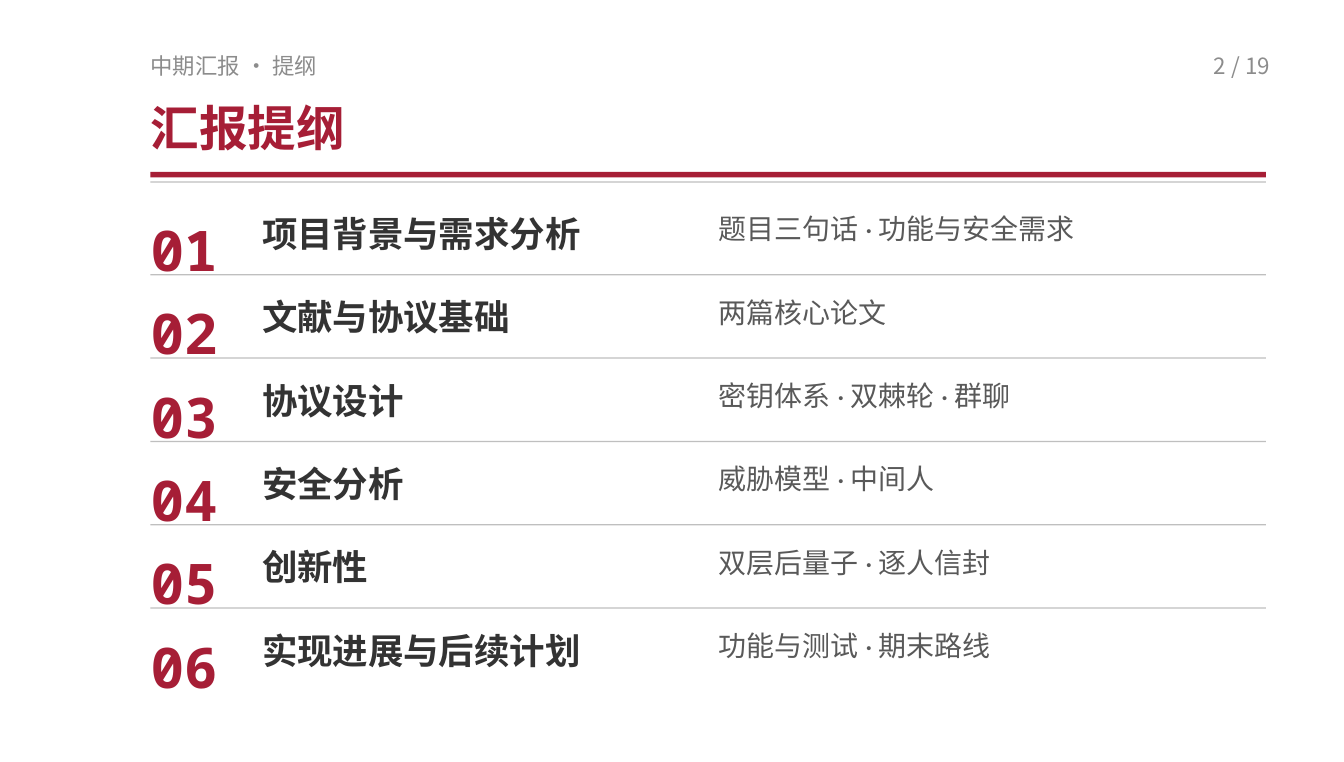
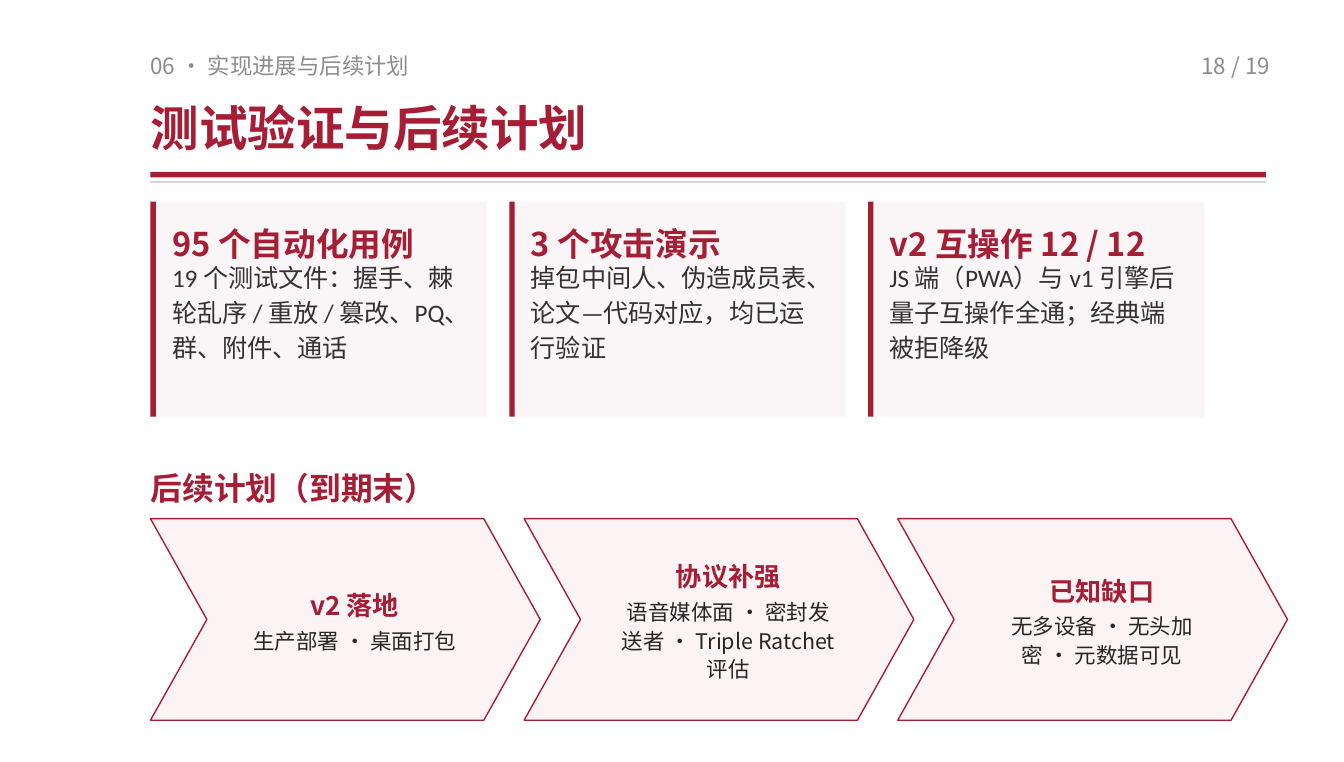
from lxml import etree
from pptx import Presentation
from pptx import util as u
from pptx.dml import color
from pptx.enum import shapes, text
from pptx.oxml import ns

SANS, BODY, MONO = "Noto Sans CJK SC", "Calibri", "Noto Sans Mono"
RED, RULE, MUTED = "A61E36", "BFBFBF", "8C8C8C"
INK, SOFT, DARK = "333333", "595959", "262626"
CARD_FILL, STEP_FILL = "FAF5F6", "FBF3F4"
LEFT, WIDTH = 1.12, 8.3
TOTAL = 19


def rgb(value):
    return color.RGBColor.from_string(value)


def style(para, size, hue, font=SANS, bold=False, spacing=1.25, after=4, align=None):
    para.line_spacing = spacing
    para.space_after = u.Pt(after)
    para.alignment = align
    for span in para.runs:
        span.font.size = u.Pt(size)
        span.font.bold = bold
        span.font.name = font
        span.font.color.rgb = rgb(hue)
        props = span.font._element
        props.set("lang", "zh-CN")
        etree.SubElement(props, ns.qn("a:ea")).set("typeface", font)


def set_margins(frame, left=0, top=0, right=0, bottom=0):
    frame.margin_left, frame.margin_top = u.Inches(left), u.Inches(top)
    frame.margin_right, frame.margin_bottom = u.Inches(right), u.Inches(bottom)
    frame.word_wrap = True


def add_label(page, left, top, width, height, words, size, hue, **look):
    box = page.shapes.add_textbox(*map(u.Inches, (left, top, width, height)))
    frame = box.text_frame
    set_margins(frame)
    frame.auto_size = text.MSO_AUTO_SIZE.SHAPE_TO_FIT_TEXT
    frame.text = words
    style(frame.paragraphs[0], size, hue, **look)


def add_block(page, left, top, width, height, fill, line=None,
              kind=shapes.MSO_SHAPE.RECTANGLE):
    block = page.shapes.add_shape(kind, *map(u.Inches, (left, top, width, height)))
    block.shadow.inherit = False
    block.fill.solid()
    block.fill.fore_color.rgb = rgb(fill)
    if line:
        block.line.color.rgb = rgb(line)
        block.line.width = u.Pt(0.75)
    else:
        block.line.fill.background()
    return block


def add_page(deck, section, title, number):
    page = deck.slides.add_slide(deck.slide_layouts[6])
    page.background.fill.solid()
    page.background.fill.fore_color.rgb = rgb("FFFFFF")
    add_label(page, LEFT, 0.34, 4.5, 0.3, section, 12, MUTED)
    add_label(page, 8.55, 0.34, 0.9, 0.3, f"{number} / {TOTAL}", 12, MUTED,
              align=text.PP_ALIGN.RIGHT)
    add_label(page, LEFT, 0.62, WIDTH, 0.62, title, 26, RED, bold=True)
    add_block(page, LEFT, 1.28, WIDTH, 0.04, RED)
    add_block(page, LEFT, 1.35, WIDTH, 0.01, RULE)
    return page


def add_agenda_row(page, left, top, number, topic, detail):
    add_label(page, left, top, 0.75, 0.5, f"{number:02}", 30, RED, font=MONO, bold=True)
    add_label(page, left + 0.83, top + 0.02, 3.3, 0.4, topic, 19, INK, bold=True)
    add_label(page, left + 4.23, top + 0.06, 4.1, 0.4, detail, 15, SOFT,
              font=BODY, spacing=1.15)


def add_card(page, left, top, heading, detail):
    width, height, inset = 2.5, 1.6, 0.16
    add_block(page, left, top, width, height, CARD_FILL)
    add_block(page, left, top, 0.04, height, RED)
    add_label(page, left + inset, top + 0.09, 2.22, 0.3, heading, 17.5, RED, bold=True)
    add_label(page, left + inset, top + 0.42, 2.22, 1.1, detail, 13.5, INK,
              font=BODY, spacing=1.15)


def add_step(page, left, top, heading, detail):
    step = add_block(page, left, top, 2.9, 1.5, STEP_FILL, RED, shapes.MSO_SHAPE.CHEVRON)
    step.adjustments[0] = 0.28
    frame = step.text_frame
    set_margins(frame, 0.3, 0.03, 0.16, 0.03)
    frame.vertical_anchor = text.MSO_ANCHOR.MIDDLE
    frame.text = f"{heading}\n{detail}"
    look = dict(spacing=1.12, after=2, align=text.PP_ALIGN.CENTER)
    style(frame.paragraphs[0], 14, RED, bold=True, **look)
    style(frame.paragraphs[1], 11.5, DARK, **look)


def build_agenda(deck):
    page = add_page(deck, "中期汇报 · 提纲", "汇报提纲", 2)
    topics = [
        ("项目背景与需求分析", "题目三句话 · 功能与安全需求"),
        ("文献与协议基础", "两篇核心论文"),
        ("协议设计", "密钥体系 · 双棘轮 · 群聊"),
        ("安全分析", "威胁模型 · 中间人"),
        ("创新性", "双层后量子 · 逐人信封"),
        ("实现进展与后续计划", "功能与测试 · 期末路线"),
    ]
    for index, (topic, detail) in enumerate(topics):
        top = 1.48 + index * 0.62
        add_agenda_row(page, LEFT, top, index + 1, topic, detail)
        if index < len(topics) - 1:
            add_block(page, LEFT, top + 0.56, WIDTH, 0.01, RULE)


def build_plan(deck):
    page = add_page(deck, "06 · 实现进展与后续计划", "测试验证与后续计划", 18)
    cards = [
        ("95 个自动化用例", "19 个测试文件：握手、棘轮乱序 / 重放 / 篡改、PQ、群、附件、通话"),
        ("3 个攻击演示", "掉包中间人、伪造成员表、论文—代码对应，均已运行验证"),
        ("v2 互操作 12 / 12", "JS 端（PWA）与 v1 引擎后量子互操作全通；经典端被拒降级"),
    ]
    for index, card in enumerate(cards):
        add_card(page, LEFT + index * 2.67, 1.5, *card)

    add_label(page, LEFT, 3.42, 7.85, 0.35, "后续计划（到期末）", 17, RED, bold=True)
    steps = [
        ("v2 落地", "生产部署 · 桌面打包"),
        ("协议补强", "语音媒体面 · 密封发送者 · Triple Ratchet 评估"),
        ("已知缺口", "无多设备 · 无头加密 · 元数据可见"),
    ]
    for index, step in enumerate(steps):
        add_step(page, LEFT + index * 2.78, 3.86, *step)


def main():
    deck = Presentation()
    deck.slide_width, deck.slide_height = u.Inches(10), u.Inches(5.67)
    build_agenda(deck)
    build_plan(deck)
    deck.save("out.pptx")


if __name__ == "__main__":
    main()
